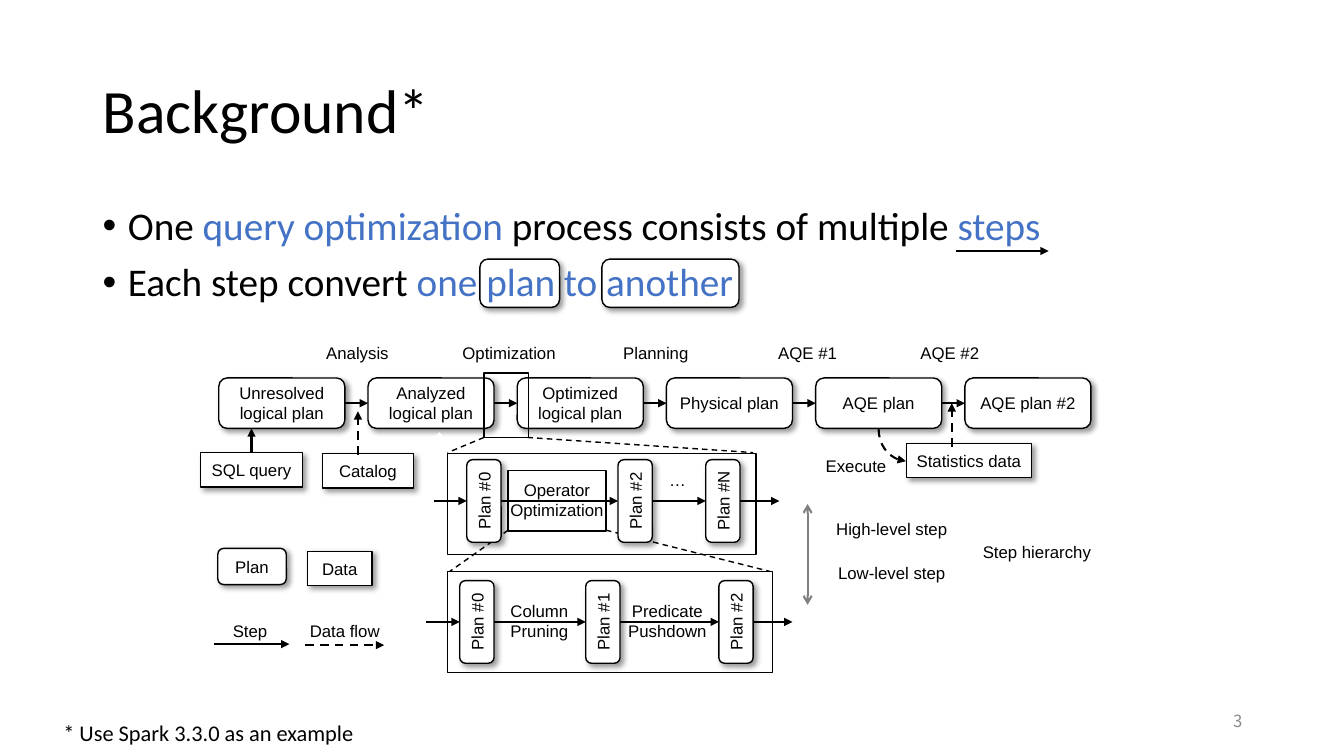
from itertools import pairwise

from lxml.etree import SubElement
from pptx import Presentation
from pptx.dml.color import RGBColor
from pptx.enum.dml import MSO_LINE
from pptx.enum.shapes import MSO_CONNECTOR as CONN, MSO_SHAPE as SHAPE
from pptx.enum.text import MSO_ANCHOR as ANCHOR, PP_ALIGN as ALIGN
from pptx.oxml.ns import qn
from pptx.util import Emu, Pt

BLACK = RGBColor(0x00, 0x00, 0x00)
WHITE = RGBColor(0xFF, 0xFF, 0xFF)
BLUE = RGBColor(0x44, 0x72, 0xC4)
GRAY = RGBColor(0x80, 0x80, 0x80)
LIGHT_GRAY = RGBColor(0x8C, 0x8C, 0x8C)
TOP, LEFT, BOTTOM, RIGHT = range(4)


def px(n):
    return Emu(round(n * 9144))


class Board:
    """Draws styled elements on one slide, with 100 px to the inch."""

    def __init__(self, slide):
        self.shapes = slide.shapes
        self.font, self.size = "Arial", 12

    def style(self, r, font=None, size=None, color=BLACK):
        r.font.name = font or self.font
        r.font.size = Pt(size or self.size)
        r.font.color.rgb = color

    def fill_text(self, s, text, align=ALIGN.CENTER, anchor=ANCHOR.TOP, wrap=True, **font):
        tf = s.text_frame
        tf.word_wrap = wrap
        tf.vertical_anchor = anchor
        tf.text = text
        p = tf.paragraphs[0]
        p.alignment = align
        for r in p.runs:
            self.style(r, **font)
        return p

    def text(self, x, y, w, h, text, **options):
        s = self.shapes.add_textbox(px(x), px(y), px(w), px(h))
        return self.fill_text(s, text, **options)

    def bullets(self, x, y, w, h, items, font, size):
        tf = self.shapes.add_textbox(px(x), px(y), px(w), px(h)).text_frame
        tf.word_wrap = True
        for i, parts in enumerate(items):
            p = tf.add_paragraph() if i else tf.paragraphs[0]
            pPr = p._p.get_or_add_pPr()
            pPr.set("marL", str(px(25)))
            pPr.set("indent", str(px(-25)))
            SubElement(pPr, qn("a:buFont"), typeface="Arial")
            SubElement(pPr, qn("a:buChar"), char="•")
            p.line_spacing = 0.9
            if i:
                p.space_before = Pt(10)
            for text, color in parts:
                r = p.add_run()
                r.text = text
                self.style(r, font, size, color)

    def shape(self, kind, x, y, w, h, fill=None, line=BLACK):
        s = self.shapes.add_shape(kind, px(x), px(y), px(w), px(h))
        s.shadow.inherit = False
        if fill is None:
            s.fill.background()
        else:
            s.fill.solid()
            s.fill.fore_color.rgb = fill
        if line is None:
            s.line.fill.background()
        else:
            s.line.color.rgb = line
            s.line.width = Pt(1)
        return s

    def box(self, kind, x, y, w, h, text=""):
        s = self.shape(kind, x, y, w, h, WHITE)
        effects = s._element.spPr.find(qn("a:effectLst"))
        shadow = SubElement(effects, qn("a:outerShdw"), blurRad="50800", dist="38100",
                            dir="2700000", algn="tl", rotWithShape="0")
        color = SubElement(shadow, qn("a:srgbClr"), val=str(BLACK))
        SubElement(color, qn("a:alpha"), val="40000")
        if text:
            self.fill_text(s, text, anchor=ANCHOR.MIDDLE)
        return s

    def upright(self, cx, cy, text):
        s = self.box(SHAPE.ROUNDED_RECTANGLE, cx - 41, cy - 17, 82, 34, text)
        s.rotation = 270
        tf = s.text_frame
        tf.margin_left = tf.margin_right = tf.margin_top = tf.margin_bottom = 0
        return s

    def line(self, x1, y1, x2, y2, begin=None, end=None, kind=CONN.STRAIGHT,
             color=BLACK, width=1.5, dash=False, head=None, tail="triangle"):
        c = self.shapes.add_connector(kind, px(x1), px(y1), px(x2), px(y2))
        if begin:
            c.begin_connect(*begin)
        if end:
            c.end_connect(*end)
        c.begin_x, c.begin_y, c.end_x, c.end_y = map(px, (x1, y1, x2, y2))
        c.line.color.rgb = color
        c.line.width = Pt(width)
        if dash:
            c.line.dash_style = MSO_LINE.DASH
        spPr = c._element.spPr
        for tag, arrow in (("a:headEnd", head), ("a:tailEnd", tail)):
            if arrow:
                SubElement(spPr.find(qn("a:ln")), qn(tag), type=arrow)
        SubElement(spPr, qn("a:effectLst"))
        return c

    def curve(self, x1, y1, x2, y2, rotation):
        c = self.line(x1, y1, x2, y2, kind=CONN.CURVE, dash=True)
        spPr = c._element.spPr
        spPr.find(qn("a:prstGeom")).set("prst", "curvedConnector2")
        spPr.find(qn("a:xfrm")).set("rot", str(rotation * 60000))

    def pipeline(self, cy, plans):
        boxes = [(cx, self.upright(cx, cy, name)) for cx, name in plans]
        (first, s), (last, t) = boxes[0], boxes[-1]
        self.line(first - 50, cy, first - 17, cy, end=(s, TOP))
        for (x1, a), (x2, b) in pairwise(boxes):
            self.line(x1 + 17, cy, x2 - 17, cy, (a, BOTTOM), (b, TOP))
        self.line(last + 17, cy, last + 56, cy, begin=(t, BOTTOM))


def main():
    prs = Presentation()
    prs.slide_width, prs.slide_height = px(1333), px(750)
    board = Board(prs.slides.add_slide(prs.slide_layouts[6]))
    rounded, rect = SHAPE.ROUNDED_RECTANGLE, SHAPE.RECTANGLE

    for x, w in ((476, 79), (597, 136)):
        board.box(rounded, x, 257, w, 48)
    board.bullets(92, 200, 1150, 476, [
        [("One", BLACK), (" query optimization ", BLUE),
         ("process consists of multiple ", BLACK), ("steps", BLUE)],
        [("Each step convert ", BLACK), ("one plan to another", BLUE)],
    ], "Calibri", 28)
    board.line(948, 249, 1040, 249)
    title = board.text(92, 40, 1150, 145, "Background*", align=ALIGN.LEFT,
                       anchor=ANCHOR.MIDDLE, font="Calibri", size=44)
    title.line_spacing = 0.9
    board.text(942, 695, 300, 40, "3", align=ALIGN.RIGHT, anchor=ANCHOR.MIDDLE,
               font="Noto Sans CJK SC", color=LIGHT_GRAY)
    board.text(53, 709, 309, 37, "* Use Spark 3.3.0 as an example", align=ALIGN.LEFT,
               wrap=False, font="Calibri", size=16)

    names = ("Unresolved logical plan", "Analyzed logical plan", "Optimized logical plan",
             "Physical plan", "AQE plan", "AQE plan #2")
    plans = [board.box(rounded, 217 + 148 * i, 375, 125, 50, name)
             for i, name in enumerate(names)]
    for i, (a, b) in enumerate(pairwise(plans)):
        x = 342 + 148 * i
        board.line(x, 400, x + 23, 400, (a, RIGHT), (b, LEFT))

    sql = board.box(rect, 199, 449, 101, 34, "SQL query")
    board.box(rect, 320, 450, 90, 34, "Catalog")
    board.box(rect, 899, 440, 124, 34, "Statistics data")
    board.line(249.5, 449, 249.5, 425, begin=(sql, TOP))
    board.line(355, 451, 355, 408, dash=True)
    board.line(944, 443, 944, 400, dash=True)
    board.curve(901, 428, 869, 455, 270)
    patch = board.shape(rect, 425, 433, 15, 7, WHITE, None)
    patch.rotation = 320.2

    for x, y, w, h, label in (
        (302, 335, 105, 30, "Analysis"), (443, 335, 124, 30, "Optimization"),
        (567, 335, 167, 30, "Planning"), (757, 335, 88, 30, "AQE #1"),
        (898, 335, 88, 30, "AQE #2"), (805, 447, 88, 30, "Execute"),
        (496, 471, 113, 50, "Operator Optimization"), (643, 461, 58, 30, "…"),
        (496, 591, 78, 50, "Column Pruning"), (612, 591, 100, 50, "Predicate Pushdown"),
        (786, 510, 197, 30, "High-level step"), (786, 553, 197, 30, "Low-level step"),
        (930, 533, 197, 30, "Step hierarchy"),
        (209, 611, 78, 30, "Step"), (293, 611, 98, 30, "Data flow"),
    ):
        board.text(x, y, w, h, label)

    for frame in ((480, 370, 44, 64), (444, 450, 306, 100),
                  (504, 467, 97, 60), (444, 567, 322, 100)):
        board.shape(rect, *frame)
    for zoom in ((480, 434, 444, 449), (523, 434, 747, 449),
                 (504, 526, 446, 567), (601, 526, 764, 567)):
        board.line(*zoom, width=1, dash=True, tail=None)
    board.pipeline(497, ((480, "Plan #0"), (630, "Plan #2"), (717, "Plan #N")))
    board.pipeline(617, ((473, "Plan #0"), (598, "Plan #1"), (730, "Plan #2")))

    board.line(801, 500, 801, 600, color=GRAY, head="arrow", tail="arrow")
    board.box(rounded, 216, 544, 68, 36, "Plan")
    board.box(rect, 305, 547, 64, 34, "Data")
    board.line(212, 639, 287, 639)
    board.line(303, 640, 381, 640, dash=True)
    prs.save("out.pptx")


if __name__ == "__main__":
    main()
